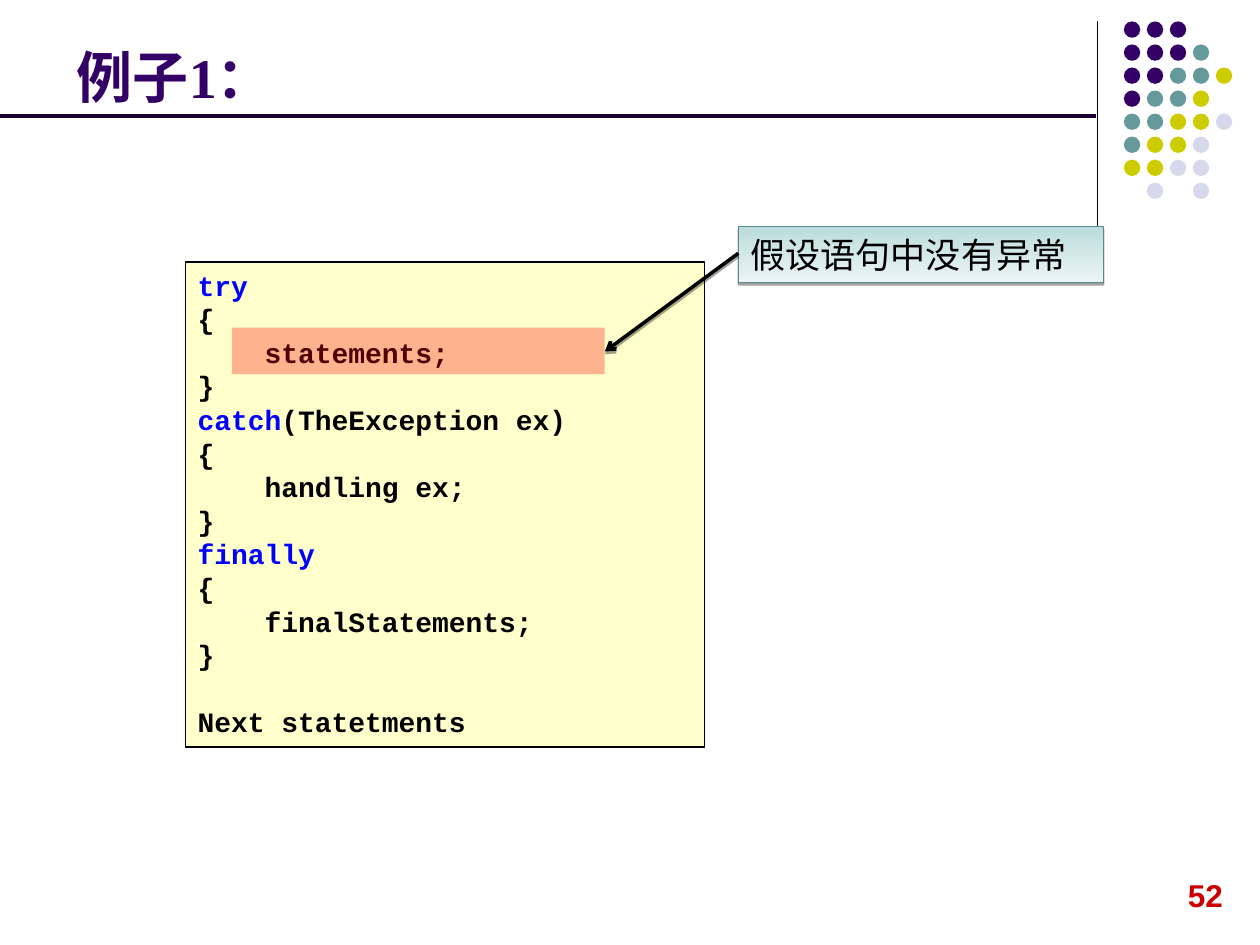
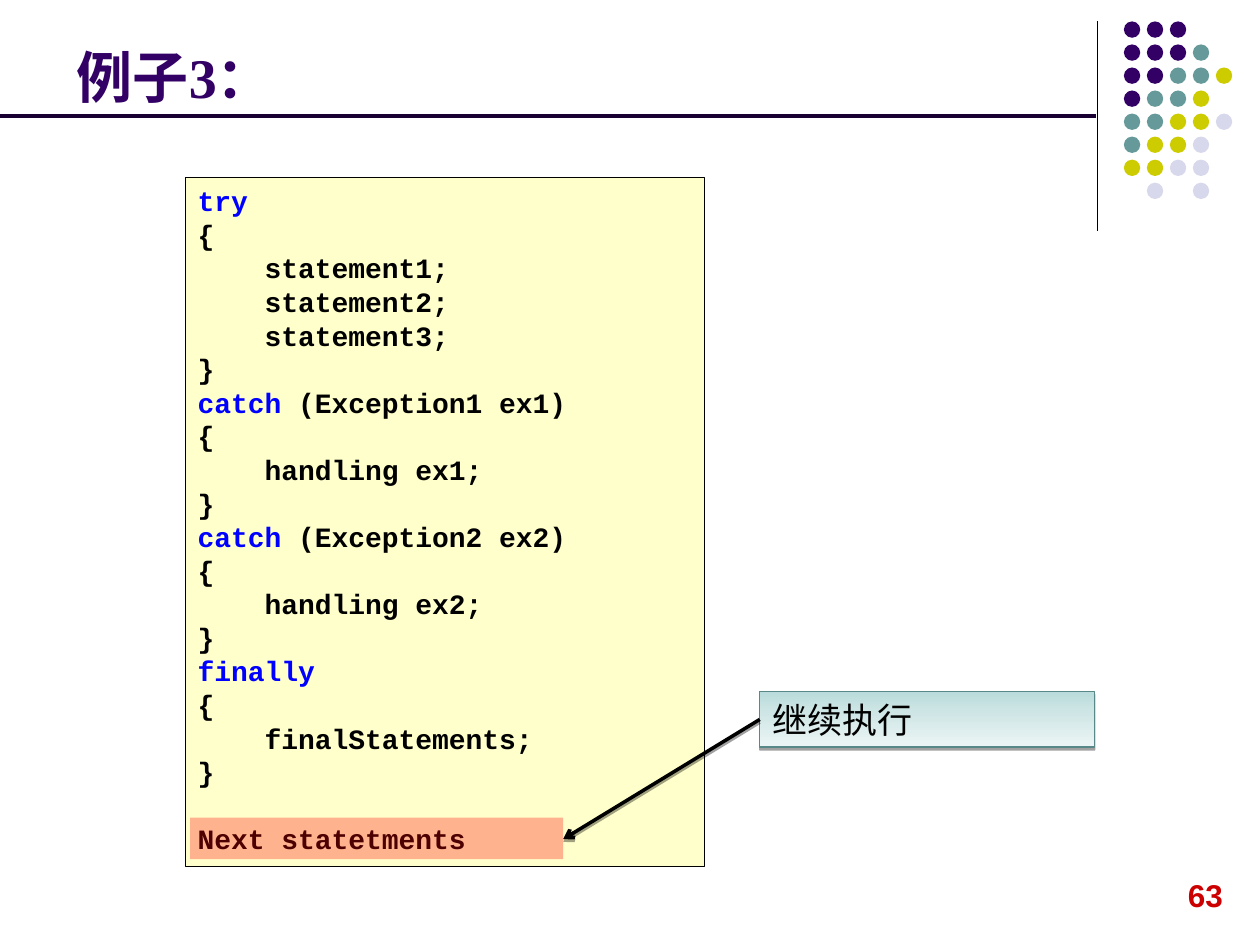
from copy import deepcopy

from lxml.etree import SubElement
from pptx import Presentation
from pptx.dml.color import RGBColor
from pptx.enum.shapes import MSO_CONNECTOR as Connector, MSO_SHAPE as Shape
from pptx.enum.text import MSO_ANCHOR as Anchor
from pptx.oxml.ns import qn
from pptx.util import Inches, Pt

PURPLE, TEAL, OLIVE, LAVENDER = "330066", "669999", "CCCC00", "D8D8EC"
BLACK, BLUE, RED = "000000", "0000FF", "FF0000"
CREAM, RULE, NUMBER, CALLOUT_EDGE = "FFFFCC", "190033", "CC0000", "598888"
CALLOUT_STOPS = [(0, "B9DBDB"), (0.35, "CEE5E5"), (1, "ECF5F5")]
SERIF, SANS, MONO, CHINESE = "Times New Roman", "Arial", "Courier New", "Noto Sans CJK SC"
KEYWORDS = ("try", "catch", "finally")
CODE_LEADING = Pt(19.2)

DOT_COLORS = {"P": PURPLE, "T": TEAL, "O": OLIVE, "L": LAVENDER}
DOT_ROWS = ["PPP", "PPPT", "PPTTO", "PTTO", "TTOOL", "TOOL", "OOLL", " L L"]

CODE_SINGLE_CATCH = """try
{
    statements;
}
catch(TheException ex)
{
    handling ex;
}
finally
{
    finalStatements;
}

Next statetments"""

CODE_TWO_CATCHES = """try
{
    statement1;
    statement2;
    statement3;
}
catch (Exception1 ex1)
{
    handling ex1;
}
catch (Exception2 ex2)
{
    handling ex2;
}
finally
{
    finalStatements;
}

Next statetments"""


def rgb(value):
    """Turn a hex string into a colour."""
    return RGBColor.from_string(value)


class Deck:
    """Holds the presentation style and the current slide."""

    def __init__(self):
        """Start an empty 10 by 7.5 inch presentation."""
        self.presentation = Presentation()
        self.presentation.slide_width = Inches(10)
        self.presentation.slide_height = Inches(7.5)
        self.slide = None

    def add_slide(self, title, number):
        """Add a slide with its title, rules, dots and number."""
        self.slide = self.presentation.slides.add_slide(self.presentation.slide_layouts[6])
        self.line((8.71, 0.17), (8.71, 1.83), BLACK, 0.75)
        for row, letters in enumerate(DOT_ROWS):
            for column, letter in enumerate(letters):
                if letter in DOT_COLORS:
                    left, top = 8.92 + column * 0.73 / 4, 0.17 + row * 1.28 / 7
                    self.shape((left, top, 0.13, 0.13), DOT_COLORS[letter], kind=Shape.OVAL)
        self.text((9.33, 6.9, 0.48, 0.4), number, 18, SANS, NUMBER, wrap=False)
        self.text((0.51, 0.21, 8.25, 0.71), title, 32, SERIF, PURPLE, anchor=Anchor.BOTTOM)
        self.line((0, 0.92), (8.7, 0.92), RULE, 2.25)

    def shape(self, box, fill=None, edge=None, kind=Shape.RECTANGLE):
        """Add a preset shape without shadow."""
        shape = self.slide.shapes.add_shape(kind, *map(Inches, box))
        shape.shadow.inherit = False
        if fill:
            shape.fill.solid()
            shape.fill.fore_color.rgb = rgb(fill)
        if edge:
            shape.line.color.rgb = rgb(edge)
            shape.line.width = Pt(0.75)
        else:
            shape.line.fill.background()
        return shape

    def line(self, start, end, color, width):
        """Add a straight line without shadow."""
        points = map(Inches, (*start, *end))
        connector = self.slide.shapes.add_connector(Connector.STRAIGHT, *points)
        connector.line.color.rgb = rgb(color)
        connector.line.width = Pt(width)
        SubElement(connector.element.spPr, qn("a:effectLst"))
        return connector

    def arrow(self, start, end):
        """Add a shadowed line with an open arrowhead at its end."""
        connector = self.line(start, end, BLACK, 2)
        SubElement(connector.element.spPr.find(qn("a:ln")), qn("a:tailEnd"), type="arrow")
        self.drop_shadow(connector)

    def drop_shadow(self, shape):
        """Put a thin grey shadow below a shape or line."""
        effects = shape.element.spPr.find(qn("a:effectLst"))
        shadow = SubElement(effects, qn("a:outerShdw"), blurRad="0", dist=str(Pt(1.6)),
                            dir="5400000", rotWithShape="0")
        color = SubElement(shadow, qn("a:srgbClr"), val=BLACK)
        SubElement(color, qn("a:alpha"), val="37000")

    def run(self, paragraph, text, size, font, color, bold=True):
        """Add one styled run."""
        run = paragraph.add_run()
        run.text = text
        run.font.size = Pt(size)
        run.font.name = font
        run.font.bold = bold
        run.font.color.rgb = rgb(color)
        SubElement(run.font._element, qn("a:ea"), typeface=CHINESE)

    def text(self, box, text, size, font, color, anchor=Anchor.TOP, wrap=True):
        """Add a one-line text box."""
        frame = self.slide.shapes.add_textbox(*map(Inches, box)).text_frame
        frame.word_wrap = wrap
        frame.vertical_anchor = anchor
        self.run(frame.paragraphs[0], text, size, font, color)

    def code(self, box, source):
        """Add a code panel with coloured keywords."""
        frame = self.shape(box, CREAM, BLACK).text_frame
        frame.word_wrap = False
        frame.vertical_anchor = Anchor.TOP
        paragraph, gap = frame.paragraphs[0], False
        for index, line in enumerate(source.splitlines()):
            if not line:
                gap = True
                continue
            if index:
                paragraph = frame.add_paragraph()
            paragraph.alignment = 1
            paragraph.line_spacing = CODE_LEADING
            if gap:
                paragraph.space_before = CODE_LEADING
                gap = False
            keyword = next((word for word in KEYWORDS if line.startswith(word)), "")
            for part, color in ((keyword, BLUE), (line[len(keyword):], BLACK)):
                if part:
                    self.run(paragraph, part, 16, MONO, color)

    def highlight(self, box):
        """Lay a translucent red band over a line of code."""
        shape = self.shape(box, RED)
        color = shape.element.spPr.find(qn("a:solidFill"))[0]
        SubElement(color, qn("a:alpha"), val="30000")

    def callout(self, box, text, font):
        """Add a gradient label with a shadow."""
        shape = self.shape(box, edge=CALLOUT_EDGE)
        shape.fill.gradient()
        shape.fill.gradient_angle = 270
        stops = shape.element.spPr.find(qn("a:gradFill")).find(qn("a:gsLst"))
        stops.insert(1, deepcopy(stops[0]))
        for stop, (position, color) in zip(shape.fill.gradient_stops, CALLOUT_STOPS):
            stop.position = position
            stop.color.rgb = rgb(color)
        self.drop_shadow(shape)
        frame = shape.text_frame
        frame.word_wrap = True
        frame.vertical_anchor = Anchor.MIDDLE
        frame.margin_top = frame.margin_bottom = 0
        frame.paragraphs[0].alignment = 1
        self.run(frame.paragraphs[0], text, 20, font, BLACK, bold=False)


def main():
    """Build both example slides."""
    deck = Deck()

    deck.add_slide("例子1：", "52")
    deck.code((1.47, 2.08, 4.12, 3.85), CODE_SINGLE_CATCH)
    deck.highlight((1.84, 2.6, 2.96, 0.37))
    deck.callout((5.86, 1.8, 2.9, 0.44), "假设语句中没有异常", CHINESE)
    deck.arrow((5.86, 2.01), (4.8, 2.79))

    deck.add_slide("例子3：", "63")
    deck.code((1.47, 1.41, 4.12, 5.47), CODE_TWO_CATCHES)
    deck.highlight((1.51, 6.49, 2.96, 0.33))
    deck.callout((6.03, 5.49, 2.66, 0.44), "继续执行", SERIF)
    deck.arrow((6.03, 5.71), (4.47, 6.66))

    deck.presentation.save("out.pptx")


if __name__ == "__main__":
    main()
